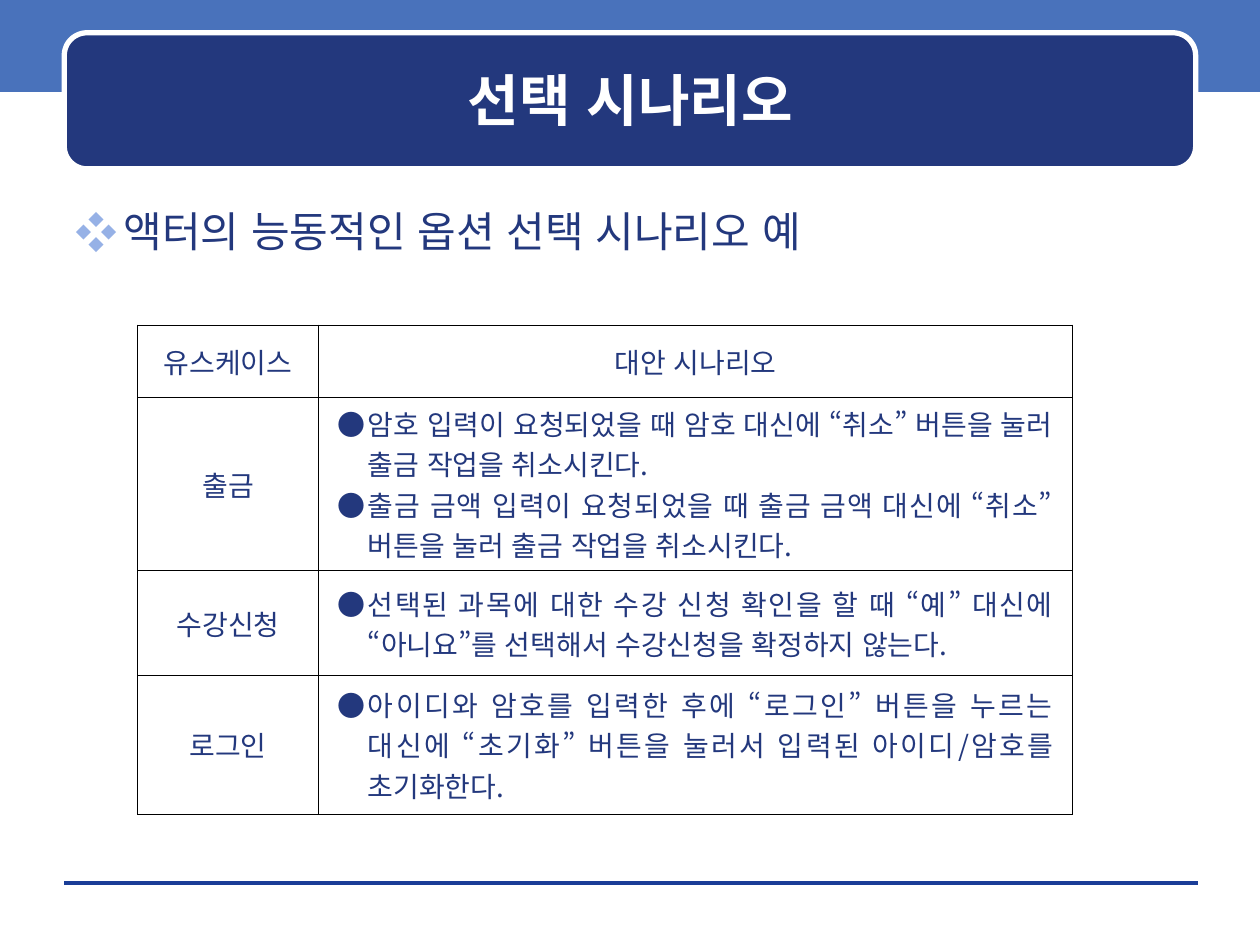
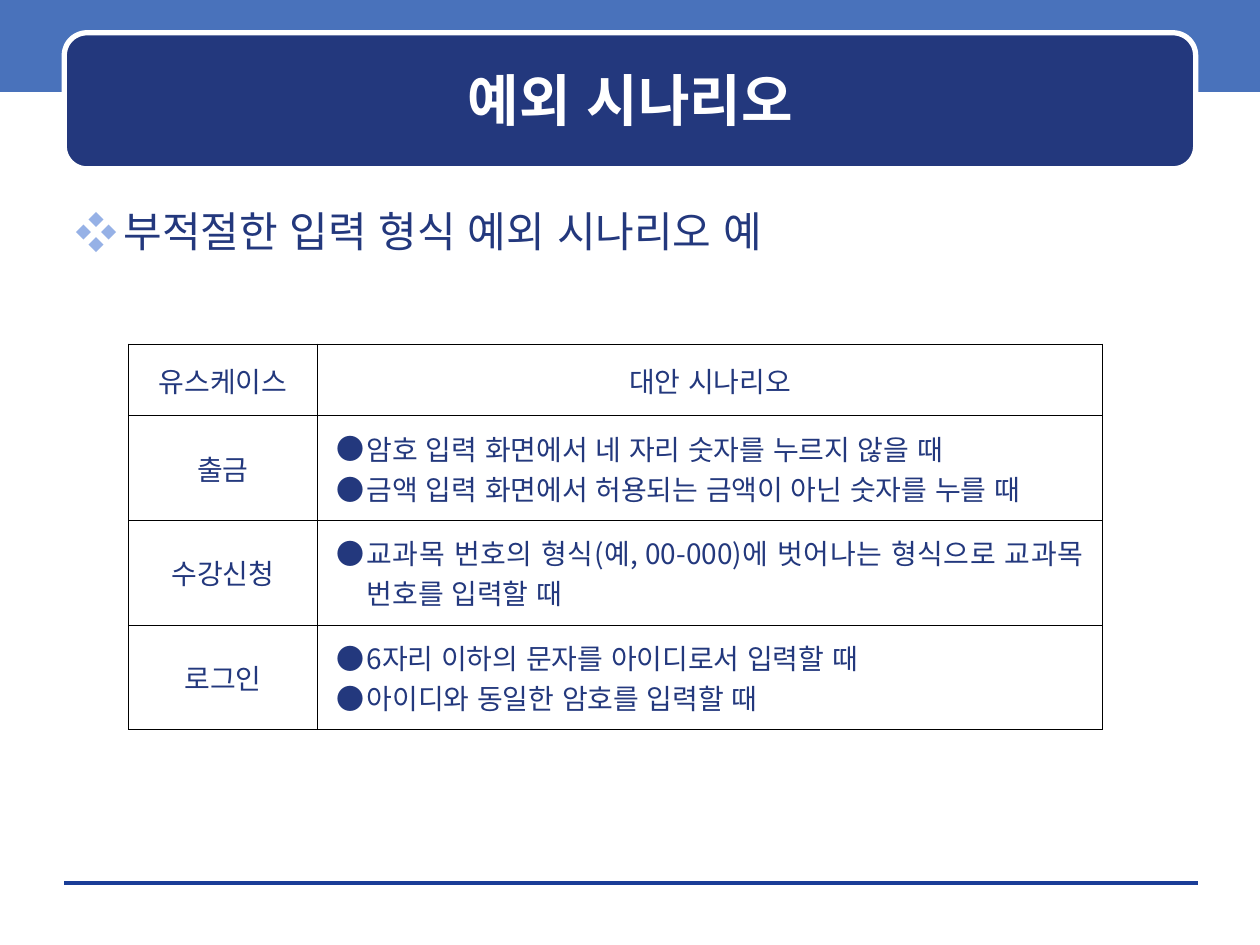
"""Two slides on use case scenarios, each with a heading, a point and a table."""
from dataclasses import dataclass
from typing import Any

from pptx import Presentation
from pptx.dml.color import RGBColor as Rgb
from pptx.enum.lang import MSO_LANGUAGE_ID as Lang
from pptx.enum.shapes import MSO_CONNECTOR as Link, MSO_SHAPE as Kind
from pptx.enum.text import MSO_ANCHOR as Anchor, MSO_AUTO_SIZE as Fit, PP_ALIGN as Align
from pptx.oxml.ns import qn
from pptx.oxml.xmlchemy import OxmlElement as Node
from pptx.util import Inches, Pt

HUES = {"navy": "23387D", "band": "4972BB", "rule": "1A3D97",
        "mark": "96B1E6", "white": "FFFFFF", "black": "000000"}
FACE = "Noto Sans CJK KR"
HEADS = ("유스케이스", "대안 시나리오")


@dataclass
class Bullet:
    sign: str
    hue: str
    indent: float


@dataclass
class Row:
    name: str
    items: list[str]
    height: float


@dataclass
class Page:
    title: str
    point: str
    face: str
    left: float
    top: float
    widths: tuple[float, float]
    rows: list[Row]


DOT = Bullet("●", "navy", 0.24)
GEM = Bullet("❖", "mark", 0.38)

PAGES = [
    Page("선택 시나리오", "액터의 능동적인 옵션 선택 시나리오 예", "DejaVu Sans",
         1.09, 2.58, (1.44, 5.98), [
             Row("출금", [
                 "암호 입력이 요청되었을 때 암호 대신에 “취소” 버튼을 눌러 출금 작업을 취소시킨다.",
                 "출금 금액 입력이 요청되었을 때 출금 금액 대신에 “취소” 버튼을 눌러 출금 작업을 취소시킨다.",
             ], 1.37),
             Row("수강신청", [
                 "선택된 과목에 대한 수강 신청 확인을 할 때 “예” 대신에 “아니요”를 선택해서 수강신청을 확정하지 않는다.",
             ], 0.83),
             Row("로그인", [
                 "아이디와 암호를 입력한 후에 “로그인” 버튼을 누르는 대신에 “초기화” 버튼을 눌러서 입력된 아이디/암호를 초기화한다.",
             ], 1.1),
         ]),
    Page("예외 시나리오", "부적절한 입력 형식 예외 시나리오 예", FACE,
         1.02, 2.73, (1.5, 6.23), [
             Row("출금", ["암호 입력 화면에서 네 자리 숫자를 누르지 않을 때",
                        "금액 입력 화면에서 허용되는 금액이 아닌 숫자를 누를 때"], 0.83),
             Row("수강신청", ["교과목 번호의 형식(예, 00-000)에 벗어나는 형식으로 교과목 번호를 입력할 때"], 0.83),
             Row("로그인", ["6자리 이하의 문자를 아이디로서 입력할 때",
                         "아이디와 동일한 암호를 입력할 때"], 0.83),
         ]),
]


def tint(name: str) -> Rgb:
    return Rgb.from_string(HUES[name])


def add_node(parent: Any, tag: str, **attrs: str) -> Any:
    node = Node(tag)
    for key, value in attrs.items():
        node.set(key, value)
    parent.append(node)
    return node


def add_mark(para: Any, mark: Bullet) -> None:
    props = para._p.get_or_add_pPr()
    props.set("marL", str(Inches(mark.indent)))
    props.set("indent", str(-Inches(mark.indent)))
    add_node(add_node(props, "a:buClr"), "a:srgbClr", val=HUES[mark.hue])
    add_node(props, "a:buFont", typeface=FACE)
    add_node(props, "a:buChar", char=mark.sign)


def write(frame: Any, lines: list[str], *, size: float, hue: str = "navy", face: str = FACE,
          bold: bool = False, align: Align = Align.LEFT, mark: Bullet | None = None) -> None:
    frame.word_wrap = True
    for spot, line in enumerate(lines):
        para = frame.add_paragraph() if spot else frame.paragraphs[0]
        if mark:
            add_mark(para, mark)
        para.alignment = align
        para.space_before = Pt(0)
        run = para.add_run()
        run.text = line
        font = run.font
        font.size, font.bold, font.name = Pt(size), bold, face
        font.language_id = Lang.KOREAN
        font.color.rgb = tint(hue)
        add_node(run._r.get_or_add_rPr(), "a:ea", typeface=FACE)


def place(shape: Any, left: float, top: float, width: float, height: float) -> None:
    shape.left, shape.top = Inches(left), Inches(top)
    shape.width, shape.height = Inches(width), Inches(height)
    shape.element.getparent().append(shape.element)


def add_box(slide: Any, kind: Kind, box: tuple[float, ...], hue: str) -> Any:
    shape = slide.shapes.add_shape(kind, *map(Inches, box))
    shape.shadow.inherit = False
    shape.fill.solid()
    shape.fill.fore_color.rgb = tint(hue)
    shape.line.fill.background()
    return shape


def add_frame(slide: Any) -> None:
    add_box(slide, Kind.RECTANGLE, (0, -0.03, 10, 0.76), "band")
    rule = slide.shapes.add_connector(Link.STRAIGHT, *map(Inches, (0.51, 7.01, 9.51, 7.01)))
    rule.line.color.rgb = tint("rule")
    rule.line.width = Pt(0)
    add_node(rule.element.spPr, "a:effectLst")
    plate = add_box(slide, Kind.ROUNDED_RECTANGLE, (0.51, 0.26, 8.98, 1.08), "navy")
    plate.line.color.rgb = tint("white")
    plate.line.width = Pt(3)


def add_text(slide: Any, page: Page) -> None:
    title, body = slide.placeholders
    place(title, 0.6, 0.35, 8.81, 0.88)
    place(body, 0.5, 1.58, 9, 5.33)
    for shape, anchor in ((title, Anchor.MIDDLE), (body, Anchor.TOP)):
        shape.text_frame.auto_size = Fit.NONE
        shape.text_frame.vertical_anchor = anchor
    write(title.text_frame, [page.title], size=32, hue="white", bold=True, align=Align.CENTER)
    write(body.text_frame, [page.point], size=24, face=page.face, mark=GEM)


def style(cell: Any) -> None:
    cell.vertical_anchor = Anchor.MIDDLE
    cell.margin_left = cell.margin_right = Inches(0.15)
    cell.margin_top = cell.margin_bottom = Inches(0.05)
    props = cell._tc.get_or_add_tcPr()
    for side in "LRTB":
        edge = add_node(props, f"a:ln{side}", w=str(Pt(0.45)))
        fill = add_node(edge, "a:solidFill")
        add_node(fill, "a:srgbClr", val=HUES["black"])
    cell.fill.background()


def add_grid(slide: Any, page: Page) -> None:
    highs = [0.57] + [row.height for row in page.rows]
    box = (page.left, page.top, sum(page.widths), sum(highs))
    grid = slide.shapes.add_table(len(highs), len(HEADS), *map(Inches, box)).table
    grid.first_row = grid.horz_banding = False
    for col, width in zip(grid.columns, page.widths):
        col.width = Inches(width)
    for line, high in zip(grid.rows, highs):
        line.height = Inches(high)
    for cell in grid.iter_cells():
        style(cell)
    for col, head in enumerate(HEADS):
        write(grid.cell(0, col).text_frame, [head], size=16, align=Align.CENTER)
    for spot, row in enumerate(page.rows, 1):
        write(grid.cell(spot, 0).text_frame, [row.name], size=16, align=Align.CENTER)
        write(grid.cell(spot, 1).text_frame, row.items, size=16, align=Align.JUSTIFY, mark=DOT)


def main() -> None:
    deck = Presentation()
    deck.slide_width, deck.slide_height = Inches(10), Inches(7.5)
    for page in PAGES:
        slide = deck.slides.add_slide(deck.slide_layouts[1])
        add_frame(slide)
        add_text(slide, page)
        add_grid(slide, page)
    deck.save("out.pptx")


if __name__ == "__main__":
    main()
